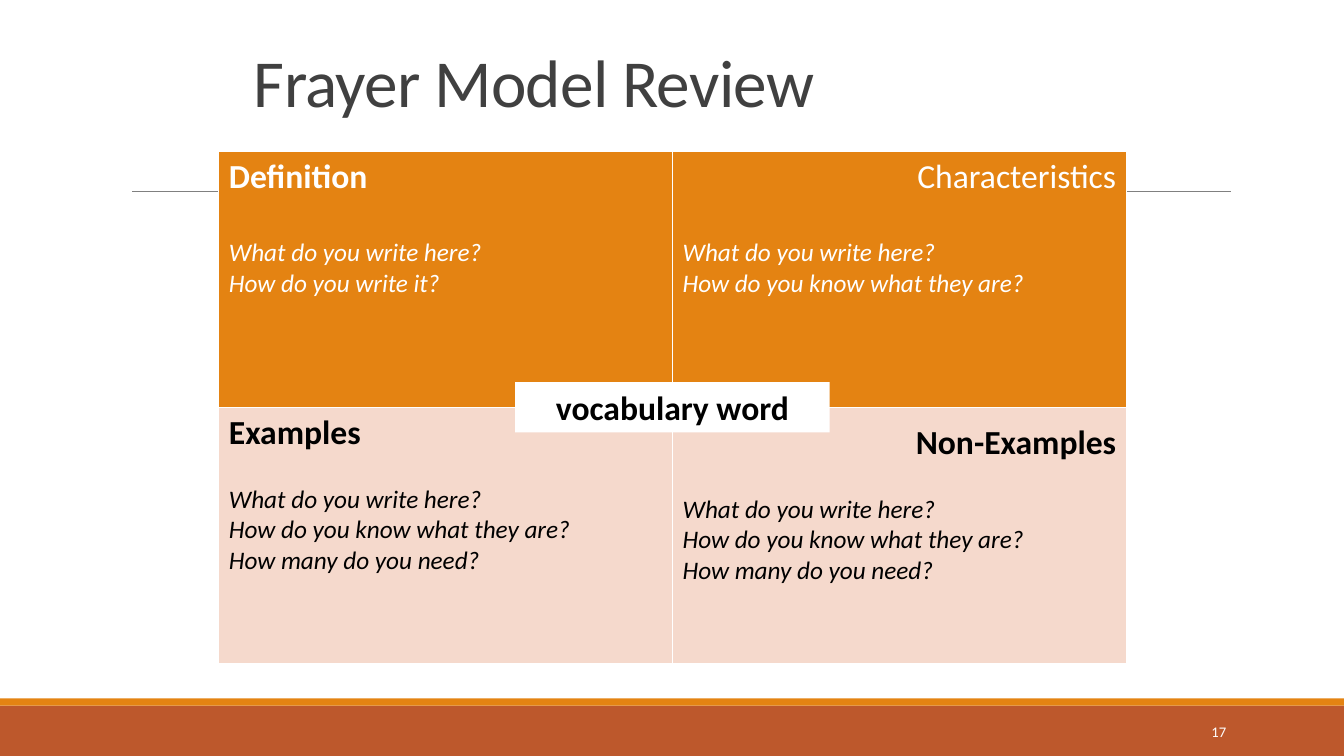
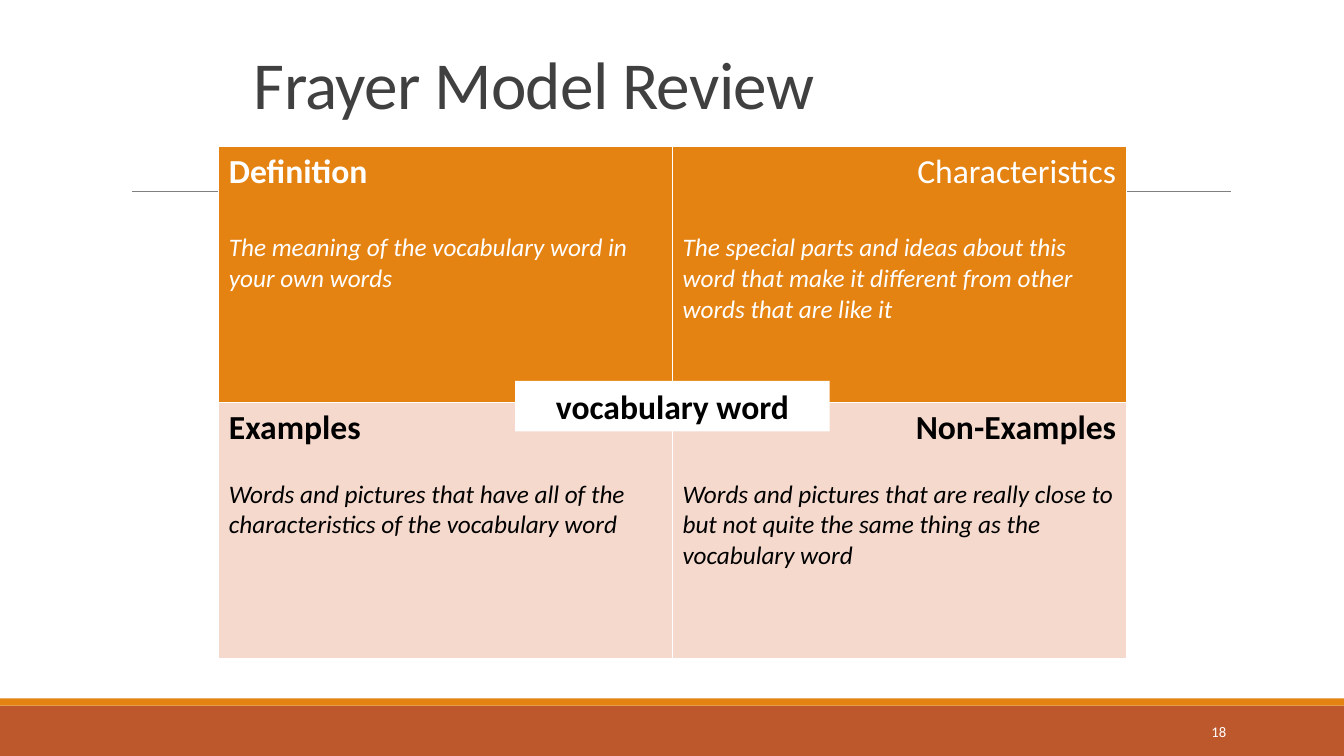
import pptx
import pptx.util
import pptx.dml.color
import pptx.enum.shapes
import pptx.enum.text
import pptx.oxml
import pptx.oxml.ns

RGBColor = pptx.dml.color.RGBColor
Pt = pptx.util.Pt
ALIGN = pptx.enum.text.PP_ALIGN
ANCHOR = pptx.enum.text.MSO_ANCHOR
RECT = pptx.enum.shapes.MSO_SHAPE.RECTANGLE
LINE = pptx.enum.shapes.MSO_CONNECTOR.STRAIGHT

# Look
FONT = "Calibri"
RUST = RGBColor(0xBD, 0x58, 0x2C)
ORANGE = RGBColor(0xE4, 0x83, 0x12)
PEACH = RGBColor(0xF5, 0xD9, 0xCC)
GREY = RGBColor(0x80, 0x80, 0x80)
DARK = RGBColor(0x40, 0x40, 0x40)
WHITE = RGBColor(0xFF, 0xFF, 0xFF)
BLACK = RGBColor(0, 0, 0)

# Layout, 100 px to the inch
PX = 9144
WIDTH, HEIGHT = 1333, 750
CELL_W, CELL_H = 450, 254
TABLE_X = (WIDTH - 2 * CELL_W) // 2 + 1
CELL_PAD = 5

# Content
TITLE = "Frayer Model Review"
CENTER_WORD = "vocabulary word"
# heading, bold, alignment; two by two
HEADINGS = [
    [("Definition", True, ALIGN.LEFT), ("Characteristics", False, ALIGN.RIGHT)],
    [("Examples", True, ALIGN.LEFT), ("Non-Examples", True, ALIGN.RIGHT)],
]
# fill, text colour and gap under the heading in points, per row
ROW_STYLES = [(ORANGE, WHITE, 29), (PEACH, BLACK, 22)]
WRITE = "What do you write here?"
KNOW = "How do you know what they are?"
MANY = "How many do you need?"
SLIDES = [
    dict(number=17, title_h=99, table_y=150, word_y=379, last_cell_drop=10,
         cells=[[[WRITE, "How do you write it?"], [WRITE, KNOW]],
                [[WRITE, KNOW, MANY], [WRITE, KNOW, MANY]]]),
    dict(number=18, title_h=101, table_y=145, word_y=378, last_cell_drop=0,
         cells=[[["The meaning of the vocabulary word in your own words"],
                 ["The special parts and ideas about this word that make it "
                  "different from other words that are like it"]],
                [["Words and pictures that have all of the characteristics "
                  "of the vocabulary word"],
                 ["Words and pictures that are really close to but not quite "
                  "the same thing as the vocabulary word"]]]),
]


def px(*values):
    return [v * PX for v in values]


def style(p, size, color, bold=False, italic=False, align=ALIGN.LEFT):
    p.alignment = align
    for r in p.runs:
        r.font.name = FONT
        r.font.size = Pt(size)
        r.font.color.rgb = color
        r.font.bold = bold
        r.font.italic = italic


def add_text(s, box, text, size, color, anchor, **look):
    tf = s.shapes.add_textbox(*px(*box)).text_frame
    tf.word_wrap = True
    tf.vertical_anchor = anchor
    tf.text = text
    style(tf.paragraphs[0], size, color, **look)
    return tf.paragraphs[0]


def add_rect(s, box, fill):
    sp = s.shapes.add_shape(RECT, *px(*box))
    sp.shadow.inherit = False
    sp.fill.solid()
    sp.fill.fore_color.rgb = fill
    sp.line.fill.background()
    return sp


def add_frame(s, title_h, number):
    """Footer bands, rule, title and slide number."""
    add_rect(s, (0, 700, WIDTH, 50), RUST)
    add_rect(s, (0, 693, WIDTH, 7), ORANGE)
    rule = s.shapes.add_connector(LINE, *px(131, 190, 1221, 190))
    rule.line.color.rgb = GREY
    rule.line.width = Pt(0.5)
    rule._element.spPr.append(pptx.oxml.parse_xml(
        "<a:effectLst %s/>" % pptx.oxml.ns.nsdecls("a")))
    p = add_text(s, (242, 26, 850, title_h), TITLE, 48, DARK, ANCHOR.BOTTOM)
    p.line_spacing = 0.85
    p.runs[0].font._element.set("spc", "-50")
    add_text(s, (1083, 706, 143, 40), str(number), 10.5, WHITE,
             ANCHOR.MIDDLE, align=ALIGN.RIGHT)


def add_borders(cell):
    tcPr = cell._tc.get_or_add_tcPr()
    for side in "LRTB":
        tcPr.append(pptx.oxml.parse_xml(
            '<a:ln%s %s w="12700"><a:solidFill><a:srgbClr val="%s"/></a:solidFill></a:ln%s>'
            % (side, pptx.oxml.ns.nsdecls("a"), WHITE, side)))


def fill_cell(cell, heading, lines, row_style):
    fill, color, gap = row_style
    text, bold, align = heading
    add_borders(cell)
    cell.fill.solid()
    cell.fill.fore_color.rgb = fill
    tf = cell.text_frame
    tf.text = "\n".join([text] + lines)
    head, *body = tf.paragraphs
    style(head, 24, color, bold=bold, align=align)
    for p in body:
        style(p, 18, color, italic=True)
    body[0].space_before = Pt(gap)


def add_model(s, table_y, cells, last_cell_drop):
    table = s.shapes.add_table(
        2, 2, *px(TABLE_X, table_y, 2 * CELL_W, 2 * CELL_H)).table
    table.first_row = table.horz_banding = False
    for i, row_style in enumerate(ROW_STYLES):
        for j, heading in enumerate(HEADINGS[i]):
            fill_cell(table.cell(i, j), heading, cells[i][j], row_style)
    table.cell(1, 1).margin_top = (CELL_PAD + last_cell_drop) * PX


def add_center_word(s, y):
    sp = add_rect(s, (511, y, 312, 50), WHITE)
    tf = sp.text_frame
    tf.word_wrap = True
    tf.vertical_anchor = ANCHOR.TOP
    tf.text = CENTER_WORD
    style(tf.paragraphs[0], 24, BLACK, bold=True, align=ALIGN.CENTER)


def main():
    prs = pptx.Presentation()
    prs.slide_width, prs.slide_height = px(WIDTH, HEIGHT)
    for data in SLIDES:
        s = prs.slides.add_slide(prs.slide_layouts[6])
        add_frame(s, data["title_h"], data["number"])
        add_model(s, data["table_y"], data["cells"], data["last_cell_drop"])
        add_center_word(s, data["word_y"])
    prs.save("out.pptx")


if __name__ == "__main__":
    main()
